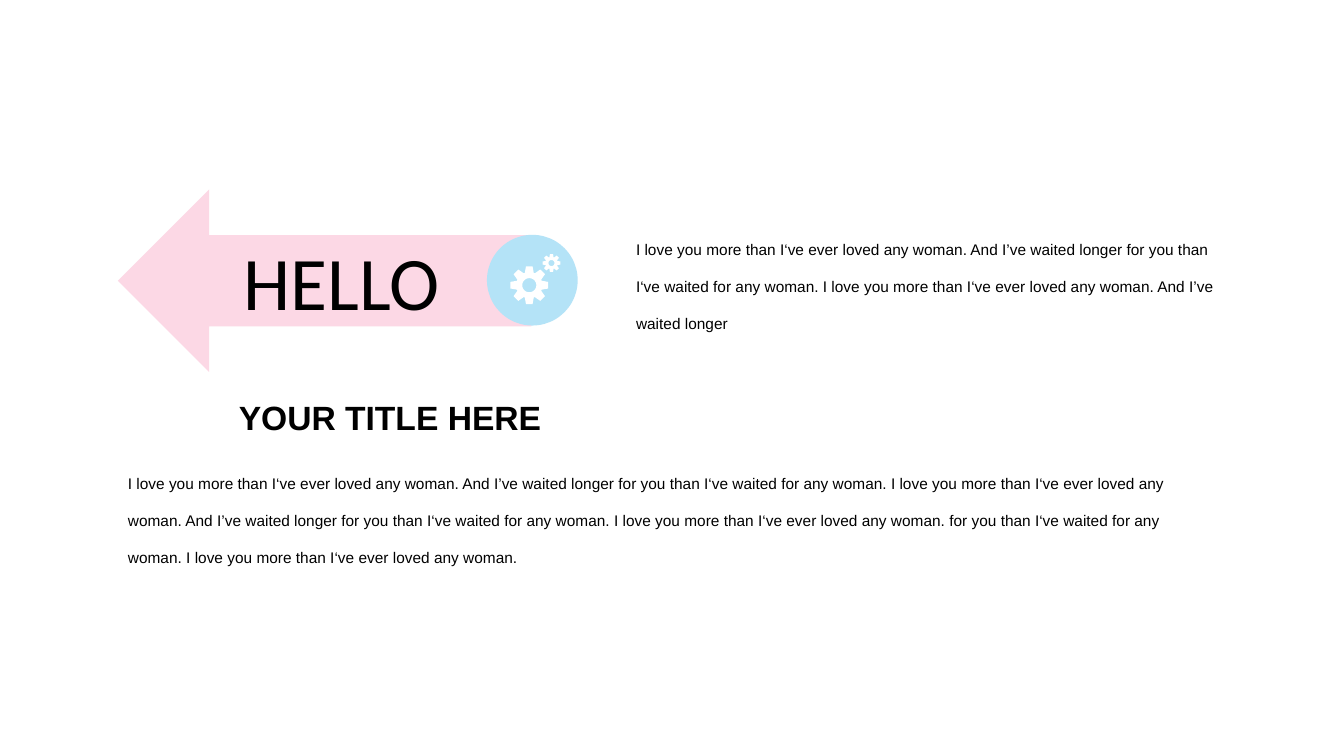
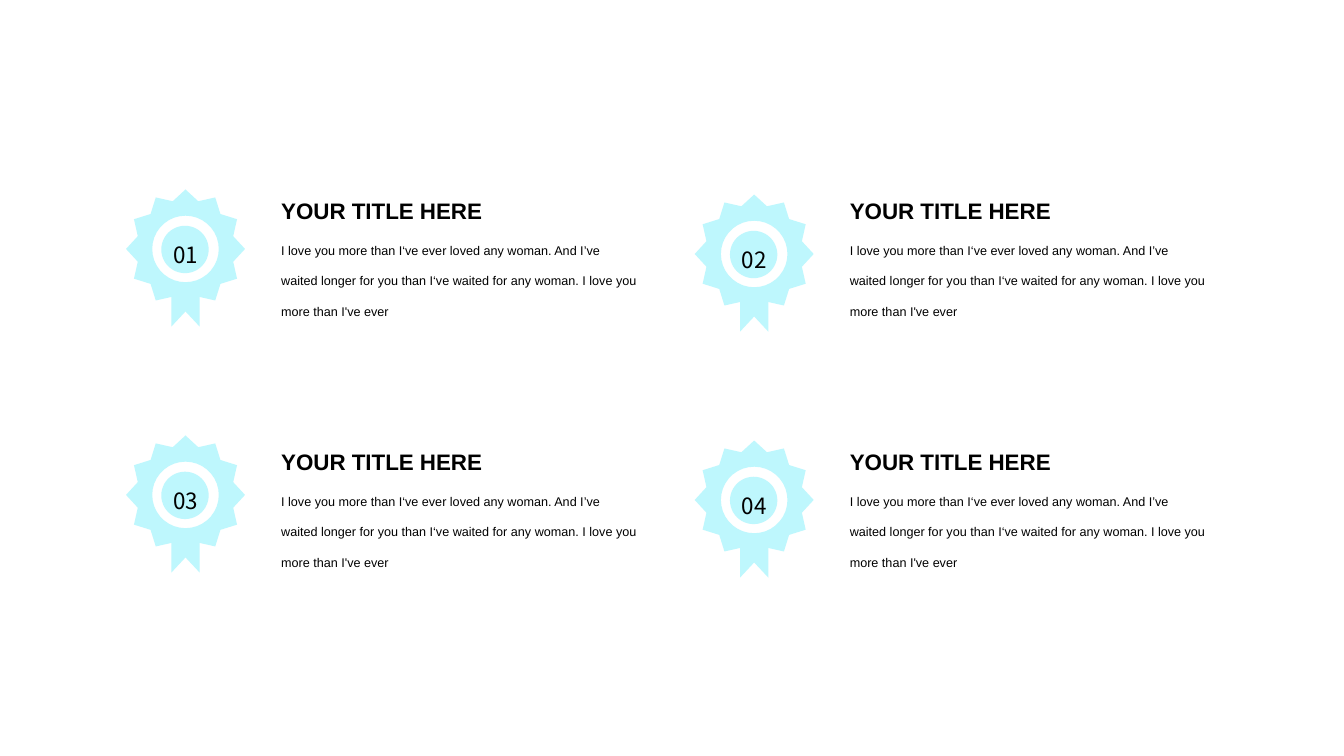
from itertools import product
from math import cos, radians, sin

from pptx import Presentation
from pptx.dml.color import RGBColor as Rgb
from pptx.enum.shapes import MSO_SHAPE as Kind
from pptx.enum.text import MSO_AUTO_SIZE as Fit, PP_ALIGN as Align
from pptx.util import Pt

PX = 9144  # 100 px to the inch
FINE = 100  # outline units per px
PINK, BLUE, AQUA, WHITE, BLACK = "FCD8E5", "B4E3F7", "BEF7FD", "FFFFFF", "000000"

# Text styles: font, then paragraph
TITLE = ({"name": "Arial", "bold": True}, {"alignment": Align.JUSTIFY, "line_spacing": 1.5})
BODY = ({"name": "Arial"}, {"line_spacing": 2.0})
HERO = ({"name": "Calibri"}, {})
COUNT = ({"name": "Noto Sans CJK SC"}, {"alignment": Align.CENTER, "line_spacing": 1.5})

# Wording
HEAD = "YOUR TITLE HERE"
LOVE = "I love you more than I‘ve ever loved any woman."
WAIT = "And I’ve waited longer for you than I‘ve waited for any woman."
SIDE = f"{LOVE} {WAIT} {LOVE} And I’ve waited longer"
LONG = f"{LOVE} {WAIT} {LOVE} {WAIT} {LOVE} for you than I‘ve waited for any woman. {LOVE}"
BRIEF = f"{LOVE} {WAIT} I love you more than I've ever"


def paint(fill, tone):
    fill.solid()
    fill.fore_color.rgb = Rgb.from_string(tone)


def wheel(slide, x, y, count, tooth, hole, tone):
    """Draw a toothed ring; tooth lists (radius, angle) pairs, hole is a radius."""
    step = 360 / count
    rim = [(r, k * step + a) for k in range(count) for r, a in tooth]
    bore = [(hole, -a) for a in range(0, 360, 10)]
    loops = [
        [((x + r * sin(radians(a))) * FINE, (y - r * cos(radians(a))) * FINE) for r, a in ring]
        for ring in (rim, bore)
    ]
    pen = slide.shapes.build_freeform(*loops[0][0], scale=PX / FINE)
    pen.add_line_segments(loops[0][1:])
    pen.move_to(*loops[1][0])
    pen.add_line_segments(loops[1][1:])
    paint(pen.convert_to_shape().fill, tone)


deck = Presentation()
deck.slide_width, deck.slide_height = 1333 * PX, 750 * PX
hello, steps = [deck.slides.add_slide(deck.slide_layouts[6]) for _ in range(2)]

# Arrow with a round end
for kind, box, tone in (
    (Kind.LEFT_ARROW, (117, 188, 410, 181), PINK),
    (Kind.OVAL, (483, 233, 90, 90), BLUE),
):
    paint(hello.shapes.add_shape(kind, *[v * PX for v in box]).fill, tone)

# Gears
for x, y, base, tip, hole in ((547, 261, 6, 9, 3), (525, 283, 13, 19, 7)):
    tooth = [(base, -20), (tip, -10), (tip, 10), (base, 20)]
    wheel(hello, x, y, 8, tooth, hole, WHITE)

# Texts: slide, box, words, size, style
texts = [
    (hello, (232, 228, 218, 101), "HELLO", 54, HERO),
    (hello, (227, 369, 347, 64), HEAD, 24, TITLE),
    (hello, (117, 447, 1099, 115), LONG, 11, BODY),
    (hello, (621, 215, 595, 115), SIDE, 11, BODY),
]

# Numbered rosettes, two by two
RIBBON = [(7, 42), (0, 49), (-7, 42), (-11, 36), (-14, 37), (-14, 77),
          (0, 62), (14, 77), (14, 37), (11, 36)]
for row, col in product(range(2), repeat=2):
    x, y = 184 + 564 * col, 247 + 244 * row + 5 * col
    disc = steps.shapes.add_shape(Kind.OVAL, *[v * PX for v in (x - 24, y - 23, 47, 47)])
    paint(disc.fill, AQUA)
    wheel(steps, x, y, 12, [(59, 0), (49, 15)], 33, AQUA)
    spots = [(x + dx, y + dy) for dx, dy in RIBBON]
    pen = steps.shapes.build_freeform(*spots[0], scale=PX)
    pen.add_line_segments(spots[1:])
    paint(pen.convert_to_shape().fill, AQUA)
    left, top = 269 + 564 * col, 177 + 249 * row
    texts += [
        (steps, (x - 23, y - 26, 46, 46), f"{row * 2 + col + 1:02}", 16, COUNT),
        (steps, (left, top, 231, 46), HEAD, 16, TITLE),
        (steps, (left, top + 44, 375, 96), BRIEF, 9, BODY),
    ]

# Flat look for every drawn shape
for slide in deck.slides:
    for shape in slide.shapes:
        shape.line.fill.background()
        shape.shadow.inherit = False

# Write the texts
for slide, box, words, size, (face, flow) in texts:
    frame = slide.shapes.add_textbox(*[v * PX for v in box]).text_frame
    frame.word_wrap = face is not COUNT[0]
    frame.auto_size = Fit.SHAPE_TO_FIT_TEXT
    para = frame.paragraphs[0]
    run = para.add_run()
    run.text = words
    paint(run.font.fill, BLACK)
    for part, looks in ((run.font, {**face, "size": Pt(size)}), (para, flow)):
        for key, value in looks.items():
            setattr(part, key, value)

deck.save("out.pptx")
